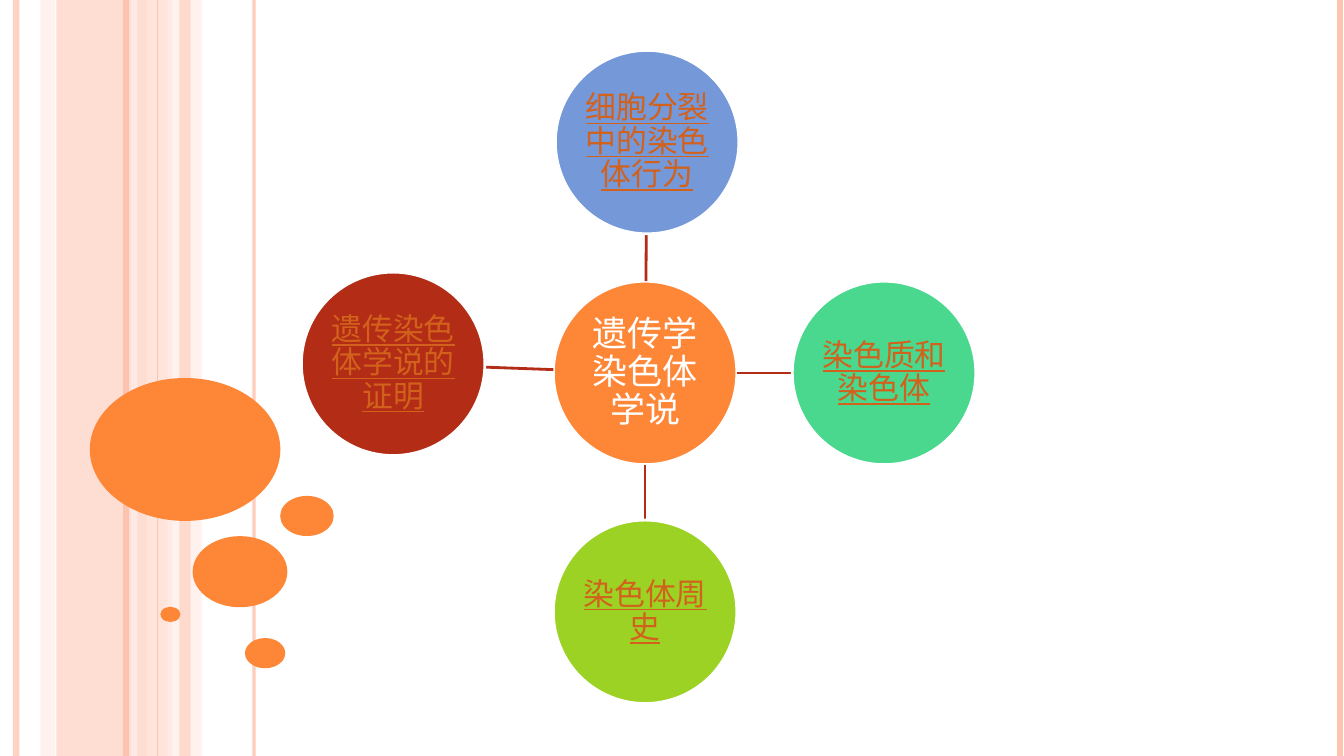
from dataclasses import dataclass
from math import hypot

from pptx import Presentation
from pptx.dml.color import RGBColor
from pptx.enum import shapes, text
from pptx.oxml.ns import qn
from pptx.util import Inches, Pt
from lxml import etree

WIDE, HIGH = Inches(13.33), Inches(7.5)


@dataclass(frozen=True)
class Theme:
    """Colours, font and sizes of the slide."""
    font: str = "Cambria"
    hub: int = 25
    node: int = 22
    rule: int = 2
    white: str = "FFFFFF"
    link: str = "D2611C"
    orange: str = "FE8637"
    red: str = "B32C16"
    blue: str = "7598D9"
    green: str = "4AD78E"
    lime: str = "9CD224"
    rose: str = "FEC3AE"
    blush: str = "FFD9CE"
    pale: str = "FFEDE8"


T = Theme()
SIZE = 13.65
HUB = (48, 49.33)


def across(share):
    """Turn a percentage of the slide width into a length."""
    return round(WIDE * share / 100)


def down(share):
    """Turn a percentage of the slide height into a length."""
    return round(HIGH * share / 100)


def apply(item, **form):
    """Set every given format value on an item."""
    for name, value in form.items():
        setattr(item, name, value)


def paint(fill, color, alpha=100):
    """Fill with a solid colour at an opacity in percent."""
    fill.solid()
    fill.fore_color.rgb = RGBColor.from_string(color)
    if alpha < 100:
        tint = fill._xPr.find(".//" + qn("a:srgbClr"))
        etree.SubElement(tint, qn("a:alpha"), val=str(alpha * 1000))


def form(slide, kind, box, color, alpha=100):
    """Add a plain shape in a box of lengths."""
    shape = slide.shapes.add_shape(kind, *box)
    shape.shadow.inherit = False
    paint(shape.fill, color, alpha)
    shape.line.fill.background()
    return shape


def band(slide, left, width, color, alpha):
    """Add a full-height stripe."""
    box = (across(left), 0, across(width), HIGH)
    form(slide, shapes.MSO_SHAPE.RECTANGLE, box, color, alpha)


def bubble(slide, left, top, width):
    """Add an oval four wide by three high."""
    span = across(width)
    box = (across(left), down(top), span, span * 3 // 4)
    form(slide, shapes.MSO_SHAPE.OVAL, box, T.orange)


def rule(slide, ends, color, width, alpha=100):
    """Add a straight line between two points."""
    line = slide.shapes.add_connector(shapes.MSO_CONNECTOR.STRAIGHT, *ends)
    paint(line.line.fill, color, alpha)
    line.line.width = Pt(width)
    etree.SubElement(line._element.spPr, qn("a:effectLst"))


def disc(slide, spot, color, words, size, ink, under):
    """Add a labelled circle around its centre."""
    span = across(SIZE)
    box = (across(spot[0]) - span // 2, down(spot[1]) - span // 2, span, span)
    shape = form(slide, shapes.MSO_SHAPE.OVAL, box, color)
    paint(shape.line.fill, T.white)
    shape.line.width = Pt(T.rule)
    frame, pad = shape.text_frame, across(0.15)
    apply(frame, word_wrap=True, vertical_anchor=text.MSO_ANCHOR.MIDDLE,
          margin_left=pad, margin_right=pad, margin_top=pad, margin_bottom=pad)
    para = frame.paragraphs[0]
    apply(para, alignment=text.PP_ALIGN.CENTER, line_spacing=0.9)
    run = para.add_run()
    run.text = words
    apply(run.font, name=T.font, size=Pt(size), underline=under)
    run.font.color.rgb = RGBColor.from_string(ink)


def spoke(slide, spot):
    """Draw a line from the edge of the hub to the edge of a node."""
    ax, ay = across(HUB[0]), down(HUB[1])
    bx, by = across(spot[0]), down(spot[1])
    part = across(SIZE) / 2 / hypot(bx - ax, by - ay)
    dx, dy = round((bx - ax) * part), round((by - ay) * part)
    rule(slide, (ax + dx, ay + dy, bx - dx, by - dy), T.red, T.rule)


def side(slide):
    """Draw the stripes, rules and bubbles."""
    for item in ((4.2, 6.68, T.rose, 54), (3, 1.13, T.blush, 36),
                 (10.8, 2.03, T.blush, 70), (12.45, 2.55, T.pale, 71)):
        band(slide, *item)
    for left, color, width, alpha in (
            (1.2, T.rose, 4.5, 73), (9.98, T.pale, 4.5, 83),
            (9.38, T.rose, 4.5, 100), (18.9, T.rose, 2.25, 82),
            (11.7, T.rose, 0.75, 100), (99.7, T.rose, 4.5, 100)):
        spot = across(left)
        rule(slide, (spot, 0, spot, HIGH), color, width, alpha)
    band(slide, 13.35, 0.83, T.rose, 51)
    for item in ((6.68, 50, 14.18), (14.33, 70.93, 7.05), (11.93, 80.27, 1.5),
                 (18.23, 84.4, 3), (20.85, 65.6, 3.98)):
        bubble(slide, *item)


def main():
    """Build and save the slide."""
    deck = Presentation()
    apply(deck, slide_width=WIDE, slide_height=HIGH)
    slide = deck.slides.add_slide(deck.slide_layouts[6])
    side(slide)
    disc(slide, HUB, T.orange, "遗传学染色体学说", T.hub, T.white, False)
    for spot, color, words in (
            ((48.15, 18.8), T.blue, "细胞分裂中的染色体行为"),
            ((65.78, 49.33), T.green, "染色质和染色体"),
            ((48, 80.93), T.lime, "染色体周史"),
            ((29.25, 48.13), T.red, "遗传染色体学说的证明")):
        spoke(slide, spot)
        disc(slide, spot, color, words, T.node, T.link, True)
    deck.save("out.pptx")


if __name__ == "__main__":
    main()
